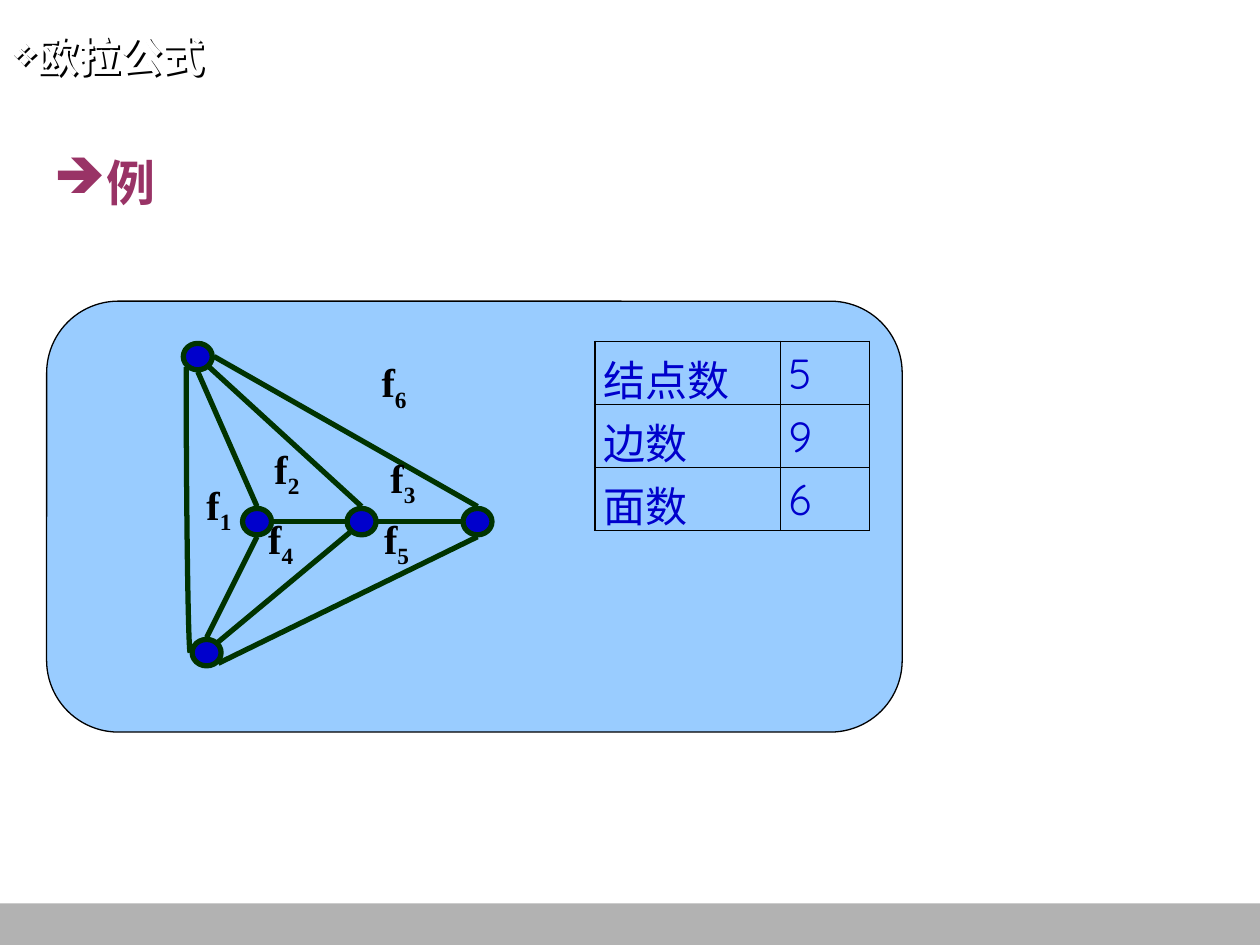
from dataclasses import dataclass
from math import cos, radians, sin
from typing import NamedTuple

from lxml.etree import SubElement
from pptx import Presentation
from pptx.dml.color import RGBColor as Color
from pptx.enum.shapes import MSO_CONNECTOR as Connector, MSO_SHAPE as Shape
from pptx.enum.text import MSO_ANCHOR as Anchor
from pptx.oxml import parse_xml
from pptx.oxml.ns import nsdecls, qn
from pptx.util import Inches, Pt


@dataclass(frozen=True)
class Theme:
    white: str = "FFFFFF"
    black: str = "000000"
    bar: str = "B2B2B2"
    panel: str = "99CCFF"
    node: str = "0000CC"
    edge: str = "003300"
    accent: str = "993366"
    chinese: str = "Noto Sans CJK SC"
    digits: str = "Quicksand"
    serif: str = "Times New Roman"
    symbols: str = "OpenSymbol"
    title_size: float = 24
    example_size: float = 28
    face_size: float = 23
    table_size: float = 24
    edge_width: float = 3
    outer_border: float = 1.08
    inner_border: float = 0.45


class Box(NamedTuple):
    left: float
    top: float
    width: float
    height: float


class Node(NamedTuple):
    x: float
    y: float


class Edge(NamedTuple):
    start: str
    start_angle: float
    end: str
    end_angle: float
    kind: Connector = Connector.STRAIGHT


class Face(NamedTuple):
    number: str
    left: float
    top: float


THEME = Theme()
NODE_SIZE = (0.23, 0.21)
REACH = (0.13, 0.12)
NODES = {
    "inner": Node(2.04, 4.14),
    "top": Node(1.57, 2.83),
    "right": Node(3.79, 4.14),
    "middle": Node(2.87, 4.14),
    "bottom": Node(1.64, 5.18),
}
EDGES = [
    Edge("bottom", 180, "top", 135, Connector.CURVE),
    Edge("top", 45, "middle", 270),
    Edge("inner", 0, "middle", 180),
    Edge("bottom", 45, "right", 90),
    Edge("bottom", 270, "inner", 90),
    Edge("top", 0, "right", 270),
    Edge("middle", 0, "right", 180),
    Edge("inner", 270, "top", 90),
    Edge("bottom", 315, "middle", 135),
]
FACES = [
    Face("2", 2.08, 3.48),
    Face("1", 1.54, 3.76),
    Face("3", 3, 3.55),
    Face("4", 2.03, 4.03),
    Face("5", 2.95, 4.03),
    Face("6", 2.93, 2.79),
]
COUNTS = [("结点数", "5"), ("边数", "9"), ("面数", "6")]
COLUMN_WIDTHS = (1.47, 0.71)
ROW_HEIGHT = 0.48


def set_all(target, values: dict) -> None:
    for name, value in values.items():
        setattr(target, name, value)


def add_run(paragraph, text: str, size: float, font: str, color: str, bold: bool = True):
    run = paragraph.add_run()
    run.text = text
    set_all(run.font, {"size": Pt(size), "name": font, "bold": bold})
    run.font.color.rgb = Color.from_string(color)
    east_asian = SubElement(run.font._element, qn("a:ea"))
    east_asian.set("typeface", THEME.chinese)
    return run


def add_bullet(paragraph, character: str, color: str, indent: float = 0) -> None:
    properties = paragraph._p.get_or_add_pPr()
    properties.set("marL", str(Inches(indent)))
    properties.set("indent", str(-Inches(indent)))
    bullet_color = SubElement(properties, qn("a:buClr"))
    SubElement(bullet_color, qn("a:srgbClr")).set("val", color)
    SubElement(properties, qn("a:buFont")).set("typeface", THEME.symbols)
    SubElement(properties, qn("a:buChar")).set("char", character)


def add_text_box(slide, box: Box, wrap: bool = True, anchor: Anchor = Anchor.TOP):
    text_box = slide.shapes.add_textbox(*map(Inches, box))
    set_all(text_box.text_frame, {"word_wrap": wrap, "vertical_anchor": anchor})
    return text_box


def add_filled_shape(slide, kind: Shape, box: Box, fill: str, line: str = "", width: float = 0):
    shape = slide.shapes.add_shape(kind, *map(Inches, box))
    shape.shadow.inherit = False
    shape.fill.solid()
    shape.fill.fore_color.rgb = Color.from_string(fill)
    if line:
        shape.line.color.rgb = Color.from_string(line)
        shape.line.width = Pt(width)
    else:
        shape.line.fill.background()
    return shape


def add_title(slide) -> None:
    text_box = add_text_box(slide, Box(0, 0, 9, 0.88), anchor=Anchor.MIDDLE)
    paragraph = text_box.text_frame.paragraphs[0]
    add_bullet(paragraph, "❖", THEME.white)
    add_run(paragraph, "欧拉公式", THEME.title_size, THEME.chinese, THEME.white)
    shadow = parse_xml(
        f'<a:effectLst {nsdecls("a")}><a:outerShdw blurRad="0" dist="{Inches(0.02)}" '
        f'dir="2700000" algn="ctr" rotWithShape="0"><a:srgbClr val="{THEME.black}"/>'
        f'</a:outerShdw></a:effectLst>'
    )
    text_box._element.spPr.append(shadow)


def add_example(slide) -> None:
    paragraph = add_text_box(slide, Box(0.33, 1.16, 9.44, 5.78)).text_frame.paragraphs[0]
    add_bullet(paragraph, "➔", THEME.accent, 0.38)
    add_run(paragraph, "例", THEME.example_size, THEME.serif, THEME.accent)


def add_node(slide, node: Node) -> None:
    width, height = NODE_SIZE
    box = Box(node.x - width / 2, node.y - height / 2, width, height)
    add_filled_shape(slide, Shape.OVAL, box, THEME.node, THEME.edge, THEME.edge_width)


def node_site(name: str, angle: float) -> tuple:
    node, turn = NODES[name], radians(angle)
    return Inches(node.x + REACH[0] * cos(turn)), Inches(node.y + REACH[1] * sin(turn))


def add_edge(slide, edge: Edge) -> None:
    start = node_site(edge.start, edge.start_angle)
    end = node_site(edge.end, edge.end_angle)
    connector = slide.shapes.add_connector(edge.kind, *start, *end)
    connector.line.color.rgb = Color.from_string(THEME.edge)
    connector.line.width = Pt(THEME.edge_width)
    properties = connector._element.spPr
    SubElement(properties, qn("a:effectLst"))
    if edge.kind == Connector.CURVE:
        properties.find(qn("a:prstGeom")).set("prst", "curvedConnector2")


def add_face(slide, face: Face) -> None:
    text_box = add_text_box(slide, Box(face.left, face.top, 0.4, 0.54), wrap=False)
    paragraph = text_box.text_frame.paragraphs[0]
    style = (THEME.face_size, THEME.serif, THEME.black)
    add_run(paragraph, "f", *style)
    number = add_run(paragraph, face.number, *style)
    number.font._element.set("baseline", "-25000")


def add_border(cell, side: str, width: float) -> None:
    line = SubElement(cell._tc.get_or_add_tcPr(), qn(f"a:{side}"), w=str(Pt(width)))
    fill = SubElement(line, qn("a:solidFill"))
    SubElement(fill, qn("a:srgbClr")).set("val", THEME.black)


def add_count_table(slide) -> None:
    rows, columns = len(COUNTS), len(COLUMN_WIDTHS)
    box = Box(4.72, 2.71, sum(COLUMN_WIDTHS), ROW_HEIGHT * rows)
    table = slide.shapes.add_table(rows, columns, *map(Inches, box)).table
    set_all(table, {"first_row": False, "horz_banding": False})
    for column, width in zip(table.columns, COLUMN_WIDTHS):
        column.width = Inches(width)
    for row, texts in enumerate(COUNTS):
        for column, text in enumerate(texts):
            cell = table.cell(row, column)
            set_all(cell, {"margin_left": Inches(0.07), "margin_right": Inches(0.07)})
            outer_sides = {"lnL": column == 0, "lnR": column == columns - 1,
                           "lnT": row == 0, "lnB": row == rows - 1}
            for side, outer in outer_sides.items():
                add_border(cell, side, THEME.outer_border if outer else THEME.inner_border)
            cell.fill.background()
            font = THEME.digits if column else THEME.chinese
            paragraph = cell.text_frame.paragraphs[0]
            add_run(paragraph, text, THEME.table_size, font, THEME.node, bold=False)


def main() -> None:
    presentation = Presentation()
    set_all(presentation, {"slide_width": Inches(10), "slide_height": Inches(7.5)})
    slide = presentation.slides.add_slide(presentation.slide_layouts[6])
    add_filled_shape(slide, Shape.RECTANGLE, Box(0, 7.17, 10, 0.33), THEME.bar)
    panel_box = Box(0.37, 2.39, 6.79, 3.42)
    add_filled_shape(slide, Shape.ROUNDED_RECTANGLE, panel_box, THEME.panel, THEME.black, 0.75)
    add_title(slide)
    add_example(slide)
    for node in NODES.values():
        add_node(slide, node)
    for edge in EDGES:
        add_edge(slide, edge)
    for face in FACES:
        add_face(slide, face)
    add_count_table(slide)
    presentation.save("out.pptx")


if __name__ == "__main__":
    main()
